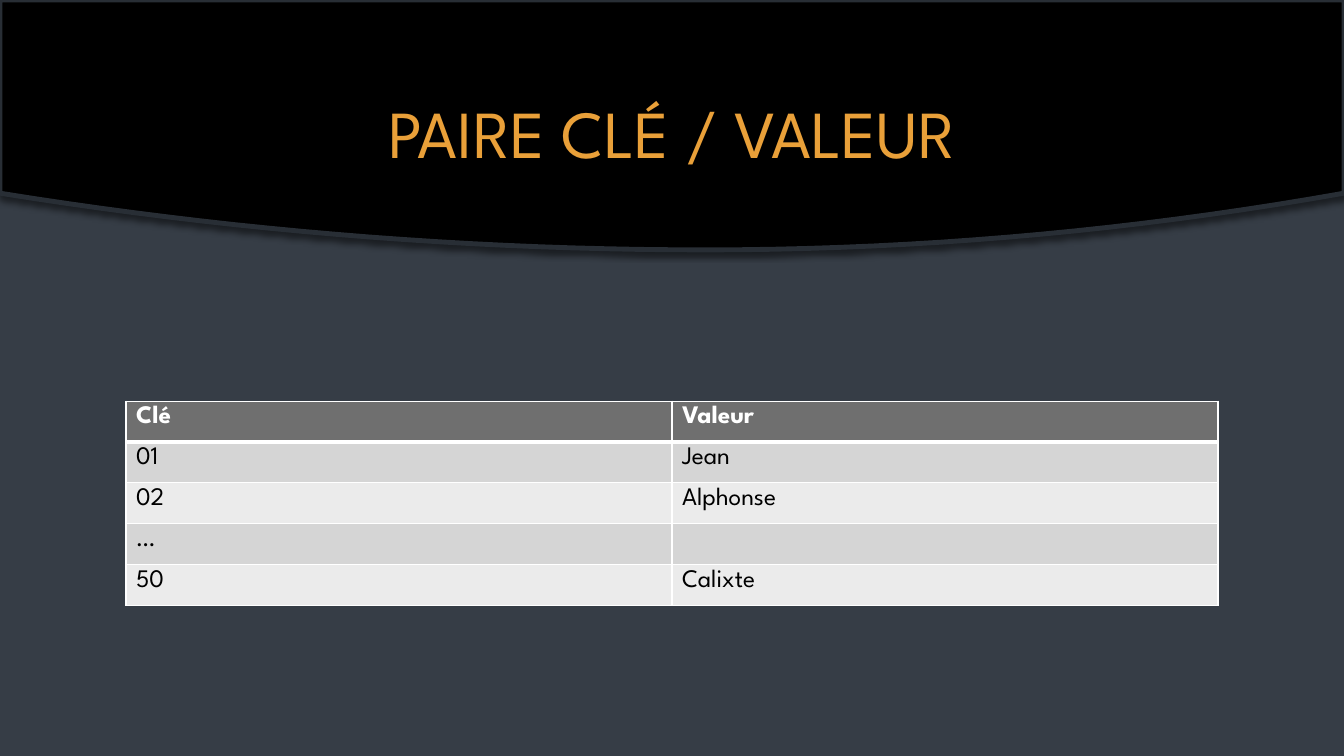
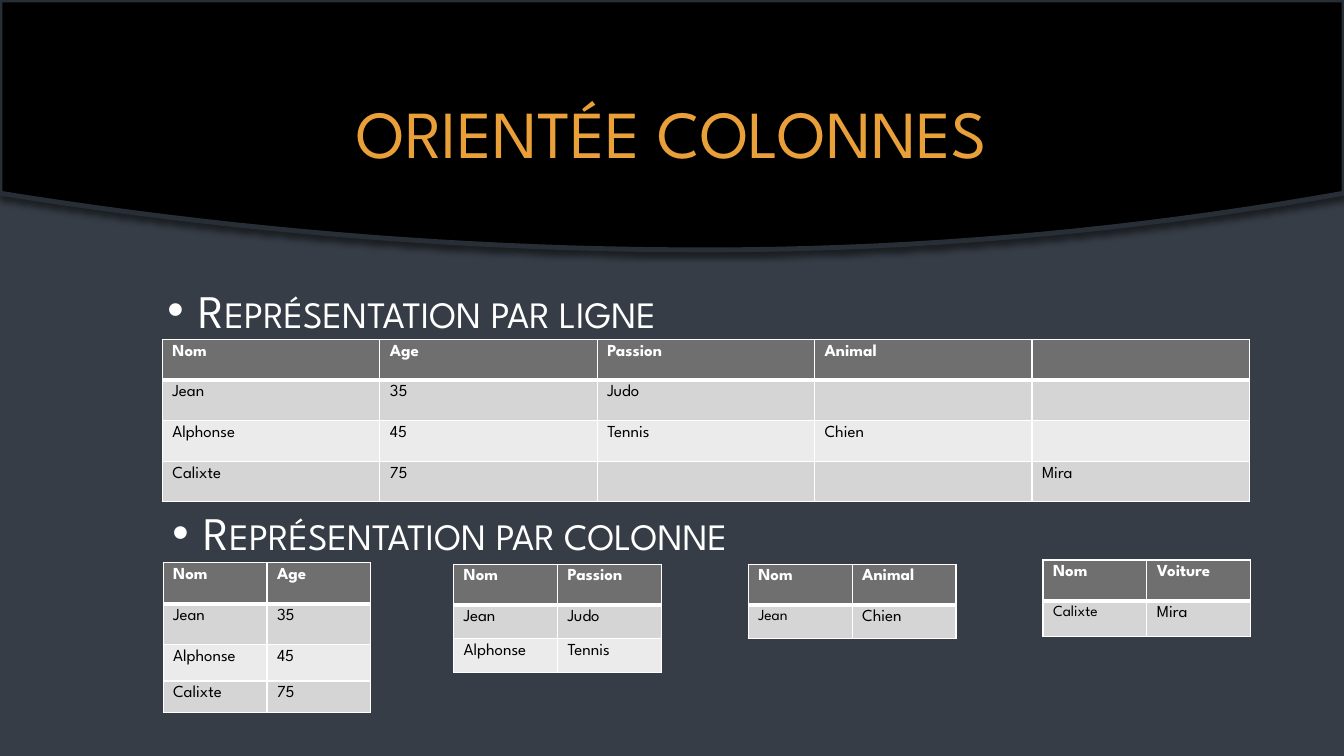
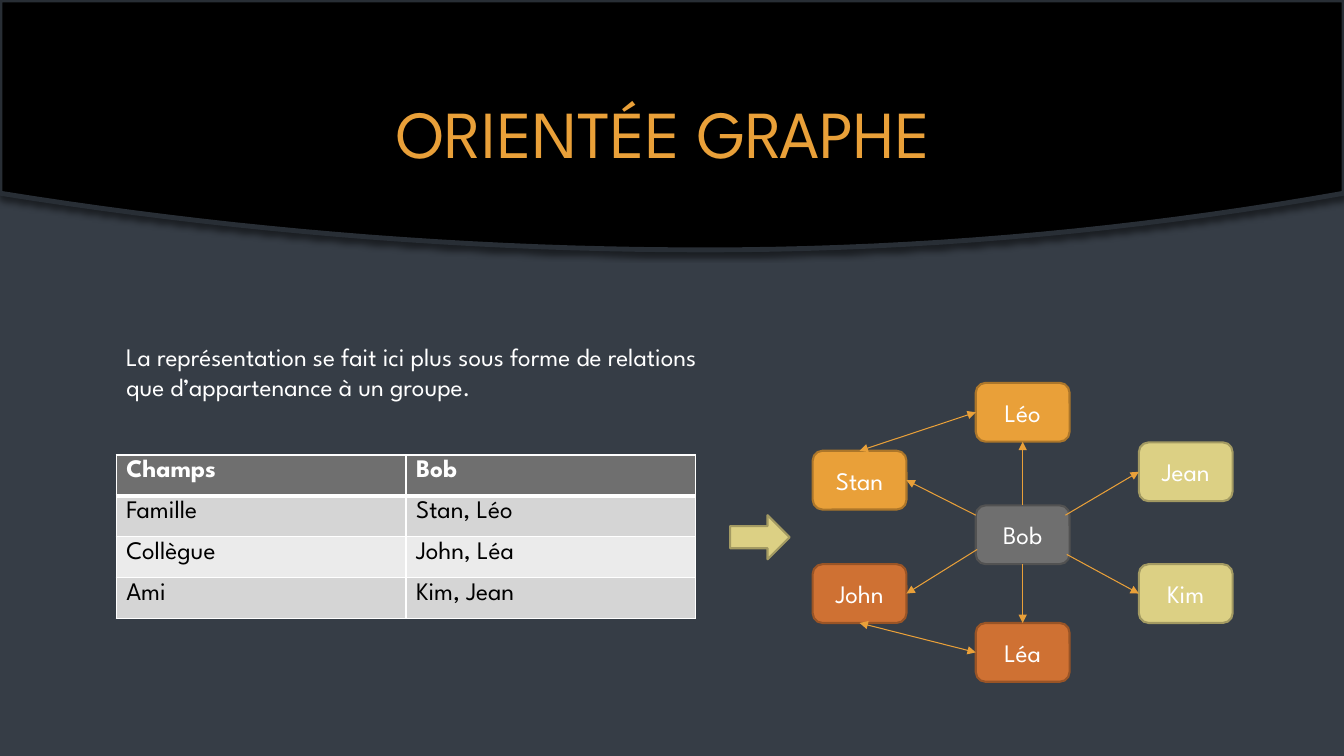
import pptx
import pptx.dml.color
import pptx.enum.shapes
import pptx.enum.text
import pptx.oxml
import pptx.oxml.ns
import pptx.util
from lxml import etree

Pt = pptx.util.Pt
SHAPES = pptx.enum.shapes.MSO_SHAPE
ANCHOR = pptx.enum.text.MSO_ANCHOR
ALIGN = pptx.enum.text.PP_ALIGN
TOP, LEFT, BOTTOM, RIGHT = range(4)

FONT = "League Spartan"
WIDTH, HEIGHT = 960, 540
WHITE, BLACK = "FFFFFF", "000000"
SLATE, BAND_EDGE = "363D46", "282E35"
ORANGE, GREY = "E9A039", "6F6F6F"
BAND_ROWS = ["EBEBEB", "D5D5D5"]
AMBER_PAIR = (ORANGE, "AC762A")
RUST_PAIR = ("CF7133", "995426")
SAND_PAIR = ("DCD084", "A39A62")
GREY_PAIR = (GREY, "525252")
NODE_WIDTH, NODE_HEIGHT = 67, 42


def color(value):
    return pptx.dml.color.RGBColor.from_string(value)


def add_xml(parent, tag, **attributes):
    element = etree.SubElement(parent, pptx.oxml.ns.qn(tag))
    for name, value in attributes.items():
        element.set(name, str(value))
    return element


def add_solid(parent, value):
    return add_xml(add_xml(parent, "a:solidFill"), "a:srgbClr", val=value)


def paint(shape, fill, line, line_width):
    shape.shadow.inherit = False
    shape.fill.solid()
    shape.fill.fore_color.rgb = color(fill)
    shape.line.color.rgb = color(line)
    shape.line.width = Pt(line_width)


def write(frame, text, size, text_color=WHITE, bold=False, align=ALIGN.LEFT):
    frame.text = text
    paragraph = frame.paragraphs[0]
    paragraph.alignment = align
    for span in paragraph.runs:
        span.font.name = FONT
        span.font.size = Pt(size)
        span.font.bold = bold
        span.font.color.rgb = color(text_color)
    return paragraph


def add_text(slide, left, top, width, height, text, size, anchor=ANCHOR.MIDDLE, **style):
    box = slide.shapes.add_textbox(Pt(left), Pt(top), Pt(width), Pt(height))
    box.text_frame.word_wrap = True
    box.text_frame.vertical_anchor = anchor
    return write(box.text_frame, text, size, **style)


def add_band(slide):
    apex, bottom, depth, steps = 504, 178.5, 40.5, 40
    curve = []
    for step in range(steps + 1):
        x = WIDTH * (1 - step / steps)
        reach = apex if x < apex else WIDTH - apex
        curve.append((Pt(x), Pt(bottom - depth * ((x - apex) / reach) ** 2)))
    builder = slide.shapes.build_freeform(0, 0)
    builder.add_line_segments([(Pt(WIDTH), 0)] + curve, close=True)
    band = builder.convert_to_shape()
    paint(band, BLACK, BAND_EDGE, 3.5)
    effects = band._element.spPr.find(pptx.oxml.ns.qn("a:effectLst"))
    shadow = add_xml(effects, "a:outerShdw", blurRad=Pt(4), dist=Pt(3), dir=5400000, rotWithShape=0)
    add_xml(add_xml(shadow, "a:srgbClr", val=BLACK), "a:alpha", val=50000)


def add_page(deck, title):
    page = deck.slides.add_slide(deck.slide_layouts[6])
    page.background.fill.solid()
    page.background.fill.fore_color.rgb = color(SLATE)
    add_band(page)
    add_text(page, 90, 48, 780, 92, title, 48, text_color=ORANGE, align=ALIGN.CENTER)
    return page


def add_heading(slide, left, top, text):
    paragraph = add_text(slide, left, top, 780, 43, text, 33.3)
    paragraph.space_before = Pt(6.7)
    paragraph.space_after = Pt(6)
    properties = paragraph._p.get_or_add_pPr()
    properties.set("marL", str(Pt(22.5)))
    properties.set("indent", str(Pt(-22.5)))
    add_xml(add_xml(properties, "a:buClr"), "a:srgbClr", val=WHITE)
    add_xml(properties, "a:buFont", typeface="Arial")
    add_xml(properties, "a:buChar", char="•")
    paragraph.runs[0]._r.get_or_add_rPr().set("cap", "small")


def style_cell(cell, row, text, size):
    header = row == 0
    properties = cell._tc.get_or_add_tcPr()
    widths = {"a:lnL": 1, "a:lnR": 1, "a:lnT": 3 if row == 1 else 1, "a:lnB": 3 if header else 1}
    for tag, width in widths.items():
        add_solid(add_xml(properties, tag, w=Pt(width)), WHITE)
    cell.fill.solid()
    cell.fill.fore_color.rgb = color(GREY if header else BAND_ROWS[row % 2])
    write(cell.text_frame, text, size, WHITE if header else BLACK, header)


def add_grid(slide, left, top, column_width, heights, rows, size, key_size=None):
    columns = len(rows[0])
    frame = slide.shapes.add_table(
        len(rows), columns, Pt(left), Pt(top), Pt(column_width * columns), Pt(sum(heights)))
    table = frame.table
    for column in table.columns:
        column.width = Pt(column_width)
    for row, (height, texts) in enumerate(zip(heights, rows)):
        table.rows[row].height = Pt(height)
        for column, text in enumerate(texts):
            is_key = row > 0 and column == 0
            style_cell(table.cell(row, column), row, text, key_size if is_key and key_size else size)


def add_node(slide, left, top, text, colors):
    node = slide.shapes.add_shape(
        SHAPES.ROUNDED_RECTANGLE, Pt(left), Pt(top), Pt(NODE_WIDTH), Pt(NODE_HEIGHT))
    paint(node, *colors, 1.5)
    node.text_frame.vertical_anchor = ANCHOR.MIDDLE
    write(node.text_frame, text, 18, align=ALIGN.CENTER)
    return node


def add_link(slide, target, target_side, source=None, source_side=None, start=(0, 0), both=False):
    x, y = (Pt(value) for value in start)
    link = slide.shapes.add_connector(pptx.enum.shapes.MSO_CONNECTOR.STRAIGHT, x, y, x, y)
    if source is not None:
        link.begin_connect(source, source_side)
    link.end_connect(target, target_side)
    link.line.color.rgb = color(ORANGE)
    link.line.width = Pt(0.75)
    line = link.line._get_or_add_ln()
    if both:
        add_xml(line, "a:headEnd", type="triangle")
    add_xml(line, "a:tailEnd", type="triangle")
    add_xml(link._element.spPr, "a:effectLst")


def add_key_value_page(deck):
    page = add_page(deck, "PAIRE CLÉ / VALEUR")
    rows = [("Clé", "Valeur"), ("01", "Jean"), ("02", "Alphonse"), ("…", ""), ("50", "Calixte")]
    add_grid(page, 90, 286.5, 390, [29.2] * 5, rows, 18)


def add_columns_page(deck):
    page = add_page(deck, "ORIENTÉE COLONNES")
    add_heading(page, 112.5, 199.5, "Représentation par ligne")
    add_heading(page, 116, 358.5, "Représentation par colonne")
    people = [
        ("Nom", "Age", "Passion", "Animal", ""),
        ("Jean", "35", "Judo", "", ""),
        ("Alphonse", "45", "Tennis", "Chien", ""),
        ("Calixte", "75", "", "", "Mira"),
    ]
    add_grid(page, 116, 242.5, 155.3, [29] * 4, people, 12)
    families = [
        (116.5, 402, [29.2, 29.2, 26, 22.5], None,
         [("Nom", "Age"), ("Jean", "35"), ("Alphonse", "45"), ("Calixte", "75")]),
        (324, 403, [29.2, 24, 24.2], None,
         [("Nom", "Passion"), ("Jean", "Judo"), ("Alphonse", "Tennis")]),
        (534.5, 403, [29.2, 24], 11, [("Nom", "Animal"), ("Jean", "Chien")]),
        (745, 400, [29.2, 25.5], 11, [("Nom", "Voiture"), ("Calixte", "Mira")]),
    ]
    for left, top, heights, key_size, rows in families:
        add_grid(page, left, top, 74.2, heights, rows, 12, key_size)


def add_graph_page(deck):
    page = add_page(deck, "ORIENTÉE GRAPHE ")
    add_text(page, 83, 240, 447, 51,
             "La représentation se fait ici plus sous forme de relations que d’appartenance à un groupe.",
             18, anchor=ANCHOR.TOP)
    rows = [("Champs", "Bob"), ("Famille", "Stan, Léo"), ("Collègue", "John, Léa"), ("Ami", "Kim, Jean")]
    add_grid(page, 83, 325, 207, [29.2] * 4, rows, 18)
    arrow = page.shapes.add_shape(SHAPES.RIGHT_ARROW, Pt(521.5), Pt(368), Pt(42.5), Pt(31.5))
    paint(arrow, *SAND_PAIR, 1.5)

    left, middle, right = (580.5 + 116.5 * column for column in range(3))
    places = [
        ("Léo", middle, 273.5, AMBER_PAIR),
        ("Stan", left, 322, AMBER_PAIR),
        ("Jean", right, 316, SAND_PAIR),
        ("Bob", middle, 361, GREY_PAIR),
        ("John", left, 403, RUST_PAIR),
        ("Kim", right, 403, SAND_PAIR),
        ("Léa", middle, 445, RUST_PAIR),
    ]
    nodes = {name: add_node(page, x, y, name, colors) for name, x, y, colors in places}
    add_link(page, nodes["Léo"], BOTTOM, nodes["Bob"], TOP)
    add_link(page, nodes["Léa"], TOP, nodes["Bob"], BOTTOM)
    add_link(page, nodes["Jean"], LEFT, start=(761, 368))
    add_link(page, nodes["Kim"], LEFT, start=(762, 396))
    add_link(page, nodes["Stan"], RIGHT, start=(697, 368))
    add_link(page, nodes["John"], RIGHT, start=(698, 392.5))
    add_link(page, nodes["Léo"], LEFT, nodes["Stan"], TOP, both=True)
    add_link(page, nodes["Léa"], LEFT, nodes["John"], BOTTOM, both=True)


def main():
    deck = pptx.Presentation()
    deck.slide_width = Pt(WIDTH)
    deck.slide_height = Pt(HEIGHT)
    add_key_value_page(deck)
    add_columns_page(deck)
    add_graph_page(deck)
    deck.save("out.pptx")


if __name__ == "__main__":
    main()
